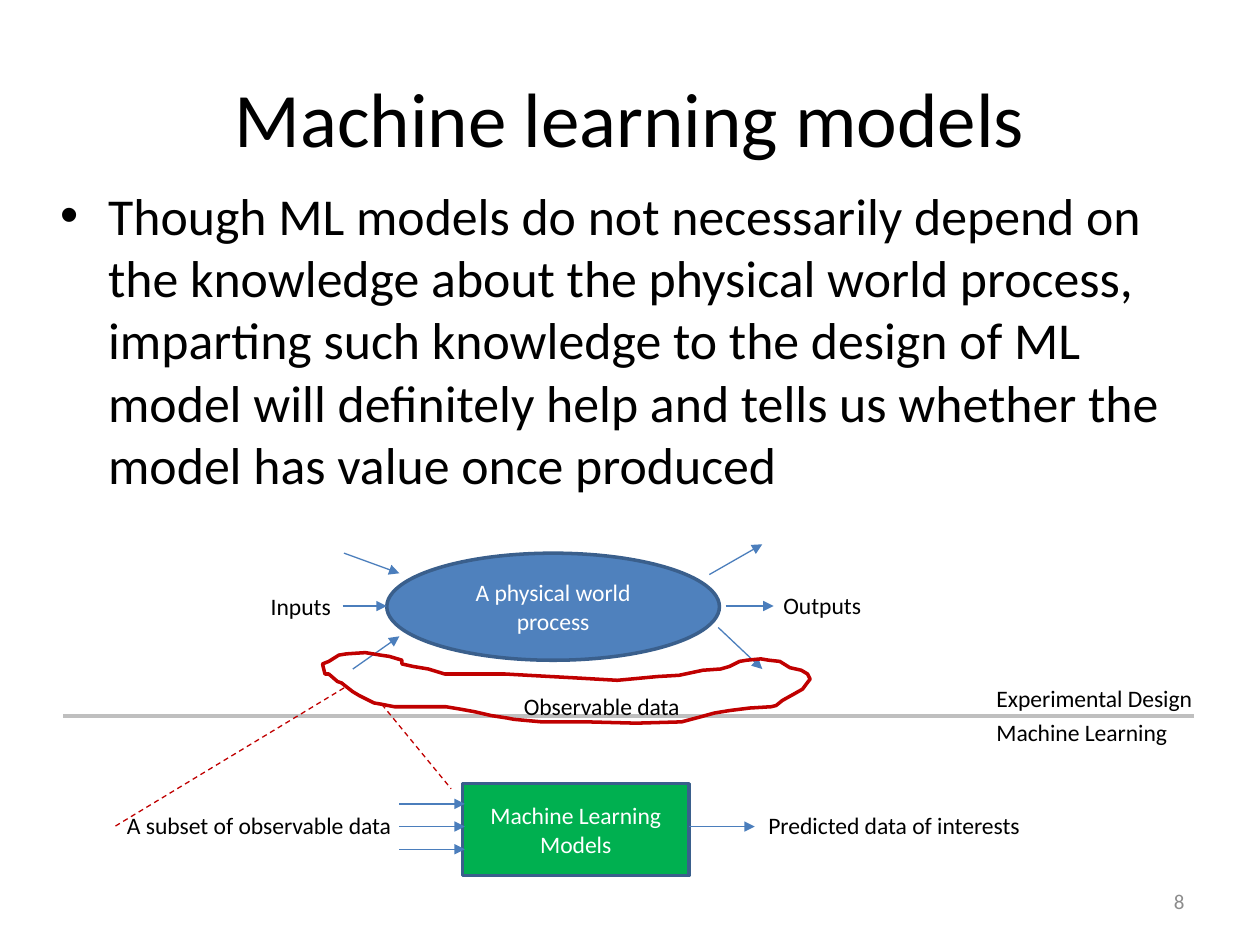
from pptx import Presentation
from pptx.dml.color import RGBColor
from pptx.enum.dml import MSO_LINE
from pptx.enum.shapes import MSO_CONNECTOR, MSO_SHAPE
from pptx.enum.text import MSO_ANCHOR, PP_ALIGN
from pptx.oxml.ns import qn
from pptx.util import Pt
from lxml.etree import SubElement

SCALE = 9144
BLUE, EDGE, RED = "4B7EBC", "3A5F8C", "C00000"
LOOP = [
    (319, 524), (309, 521), (302, 520), (290, 518), (275, 519), (269, 520),
    (261, 525), (256, 527), (258, 535), (261, 535), (268, 541), (271, 542),
    (280, 549), (285, 552), (297, 558), (303, 559), (313, 561), (354, 561),
    (366, 563), (377, 565), (390, 568), (403, 570), (408, 571), (430, 573),
    (466, 573), (505, 574), (541, 573), (556, 569), (567, 566), (579, 564),
    (595, 562), (612, 561), (616, 560), (621, 556), (630, 551), (637, 547),
    (640, 543), (643, 539), (641, 535), (636, 532), (627, 530), (619, 525),
    (610, 524), (604, 523), (593, 524), (587, 525), (579, 529), (572, 531),
    (558, 532), (539, 536), (522, 537), (490, 540), (455, 538), (419, 536),
    (401, 535), (353, 535), (340, 531), (328, 529), (319, 527),
]


def px(n):
    """Turn px into EMU."""
    return n * SCALE


def tint(code):
    """Turn a hex string into a colour."""
    return RGBColor.from_string(code)


def style(frame, words, size, color, align):
    """Write one paragraph and set its font."""
    para = frame.paragraphs[0]
    para.text = words
    para.alignment = align
    font = para.font
    font.name, font.size = "Calibri", Pt(size)
    font.color.rgb = tint(color)
    return para


def text(slide, box, words, size=13.5, color="000000", align=PP_ALIGN.LEFT,
         anchor=MSO_ANCHOR.TOP, wrap=False):
    """Add a text box and return its paragraph."""
    frame = slide.shapes.add_textbox(*map(px, box)).text_frame
    frame.word_wrap, frame.vertical_anchor = wrap, anchor
    return style(frame, words, size, color, align)


def node(slide, kind, box, words, fill):
    """Add a filled shape with a centred label."""
    shape = slide.shapes.add_shape(kind, *map(px, box))
    shape.shadow.inherit = False
    shape.fill.solid()
    shape.fill.fore_color.rgb = tint(fill)
    shape.line.color.rgb, shape.line.width = tint(EDGE), Pt(2)
    frame = shape.text_frame
    frame.word_wrap, frame.vertical_anchor = True, MSO_ANCHOR.MIDDLE
    style(frame, words, 13.5, "FFFFFF", PP_ALIGN.CENTER)


def line(slide, start, end, color=BLUE, width=0.75, arrow=False, dash=False):
    """Add a straight line, with an arrowhead or dashes if asked."""
    link = slide.shapes.add_connector(
        MSO_CONNECTOR.STRAIGHT, *map(px, (*start, *end)))
    SubElement(link._element.spPr, qn("a:effectLst"))
    link.line.color.rgb, link.line.width = tint(color), Pt(width)
    if dash:
        link.line.dash_style = MSO_LINE.DASH
    if arrow:
        tail = SubElement(link.line._get_or_add_ln(), qn("a:tailEnd"))
        tail.set("type", "triangle")


def title(slide, box):
    """Place the slide title."""
    text(slide, box, "Machine learning models", 44, align=PP_ALIGN.CENTER,
         anchor=MSO_ANCHOR.MIDDLE, wrap=True)


def body(slide, box):
    """Place the bulleted statement."""
    para = text(
        slide, box,
        "Though ML models do not necessarily depend on the knowledge about "
        "the physical world process, imparting such knowledge to the design "
        "of ML model will definitely help and tells us whether the model has "
        "value once produced", 29.6, wrap=True)
    props = para._p.get_or_add_pPr()
    props.set("marL", str(px(38)))
    props.set("indent", str(px(-38)))
    SubElement(props, qn("a:buFont")).set("typeface", "Arial")
    SubElement(props, qn("a:buChar")).set("char", "•")


def split(slide, box):
    """Draw the divider and name its two sides."""
    x, y, w, h = box
    mid = y + 30
    line(slide, (x, mid), (x + w, mid), "BFBFBF", 2.25)
    text(slide, (x + 731, y, 178, 33), "Experimental Design")
    text(slide, (x + 731, y + 27, 158, 33), "Machine Learning")


def world(slide, box):
    """Draw the physical process with its inputs and outputs."""
    x, y, w, h = box
    node(slide, MSO_SHAPE.OVAL, box, "A physical world process", "4F81BD")
    for a, b, c, d in ((-34, 0, 10, 16), (-35, 42, 0, 42), (-27, 92, 10, 66),
                       (w - 8, 17, w + 34, -7), (w + 5, 42, w + 43, 42),
                       (w - 1, 59, w + 34, 92)):
        line(slide, (x + a, y + b), (x + c, y + d), arrow=True)
    text(slide, (x - 102, y + 26, 69, 33), "Inputs")
    text(slide, (x + w + 41, y + 25, 83, 33), "Outputs")


def data(slide, box):
    """Draw the loop around the observable data."""
    x, y, w, h = box
    left, top = min(p[0] for p in LOOP), min(p[1] for p in LOOP)
    spots = [(x + a - left, y + b - top) for a, b in LOOP]
    pen = slide.shapes.build_freeform(*spots[0], scale=SCALE)
    pen.add_line_segments(spots[1:], close=True)
    loop = pen.convert_to_shape()
    loop.shadow.inherit = False
    loop.fill.background()
    loop.line.color.rgb, loop.line.width = tint(RED), Pt(2)
    text(slide, (x + 150, y + 26, 146, 33), "Observable data")


def model(slide, box):
    """Draw the learning model, its data and its predictions."""
    x, y, w, h = box
    node(slide, MSO_SHAPE.RECTANGLE, box, "Machine Learning Models", "00B050")
    mid = y + 34
    for gap in (-18, 0, 18):
        line(slide, (x - 50, mid + gap), (x + 2, mid + gap), arrow=True)
    line(slide, (x + w, mid), (x + w + 52, mid), arrow=True)
    text(slide, (x - 276, y + 17, 233, 33), "A subset of observable data")
    text(slide, (x + w + 53, y + 17, 223, 33), "Predicted data of interests")
    line(slide, (x - 94, y - 76), (x - 276, mid), RED, dash=True)
    line(slide, (x - 64, y - 63), (x - 9, y + 4), RED, dash=True)


def page(slide, box):
    """Place the slide number."""
    text(slide, box, "8", 12, "8C8C8C", PP_ALIGN.RIGHT, MSO_ANCHOR.MIDDLE,
         True)


def main():
    """Build and save the slide."""
    deck = Presentation()
    deck.slide_width, deck.slide_height = px(1000), px(750)
    slide = deck.slides.add_slide(deck.slide_layouts[6])
    title(slide, (50, 30, 900, 125))
    body(slide, (38, 141, 900, 247))
    page(slide, (717, 695, 233, 40))
    split(slide, (50, 538, 898, 60))
    world(slide, (307, 439, 264, 85))
    data(slide, (256, 518, 387, 56))
    model(slide, (367, 622, 180, 73))
    deck.save("out.pptx")


if __name__ == "__main__":
    main()
